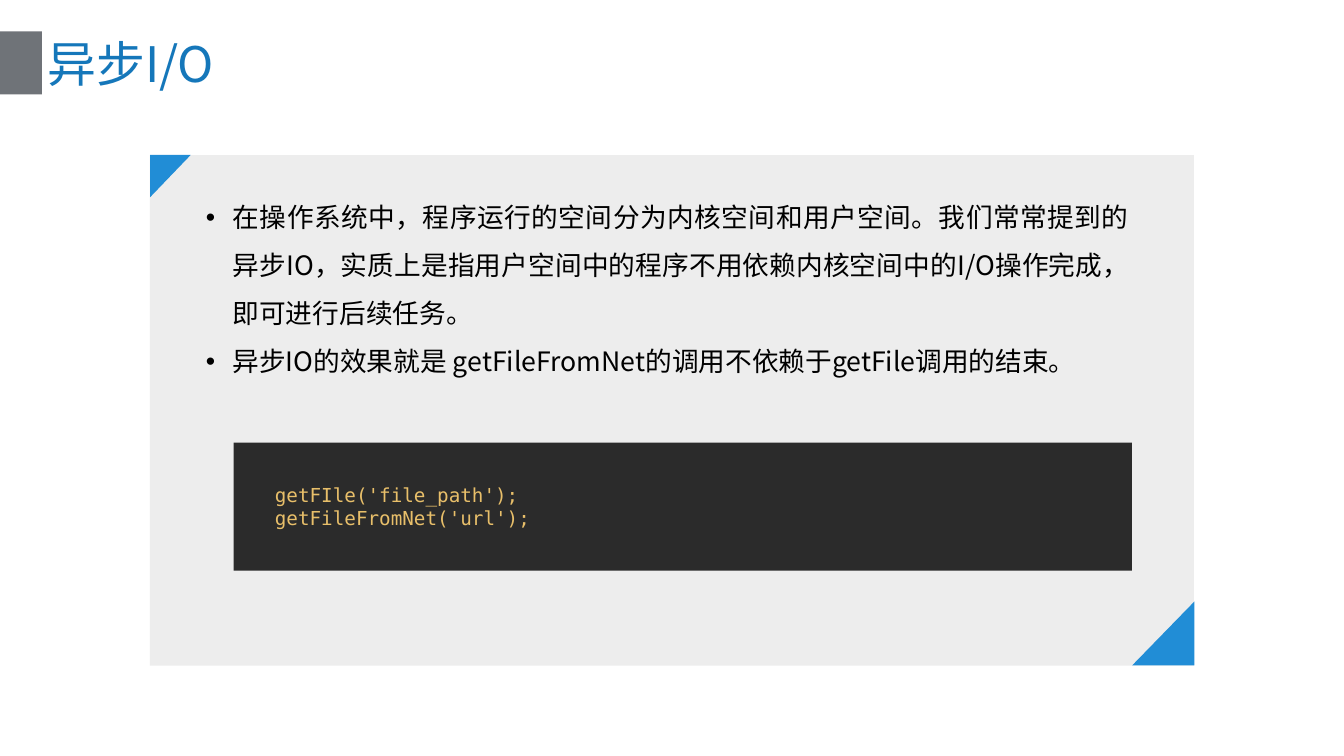
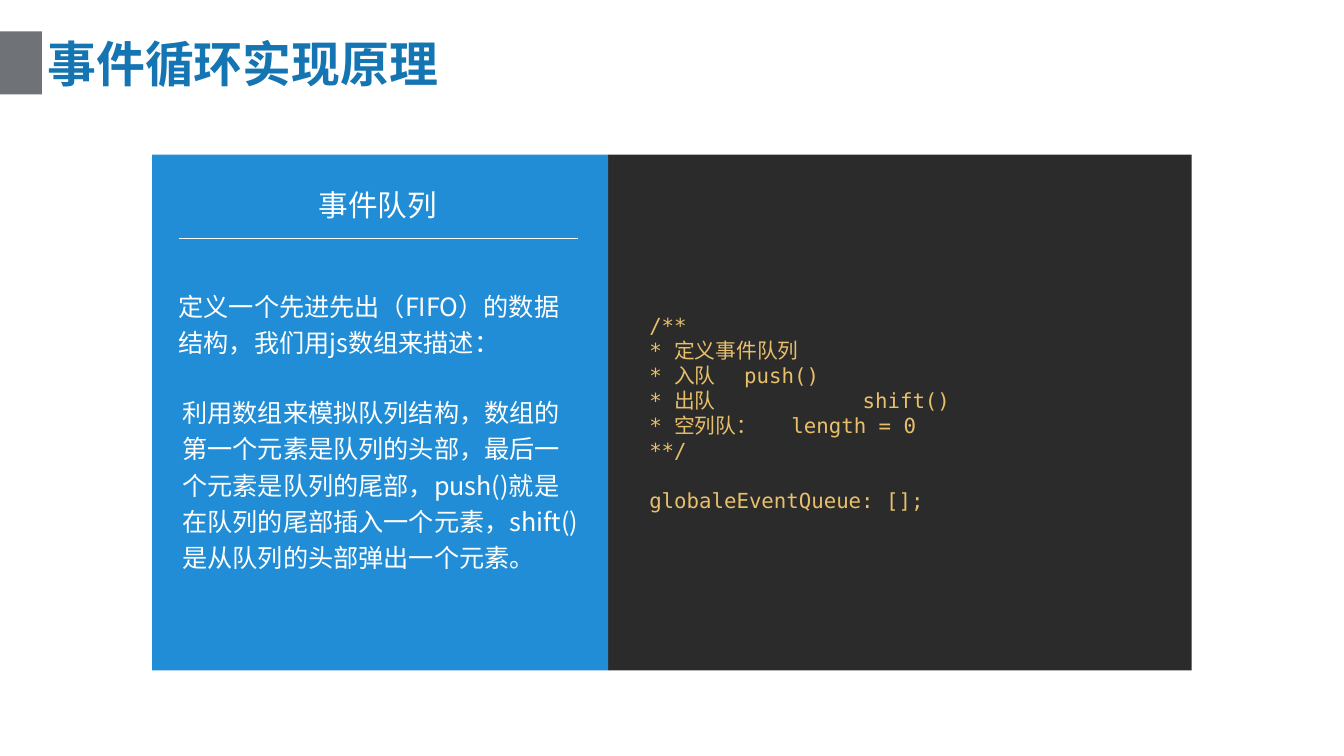
from dataclasses import dataclass

from lxml import etree
from pptx import Presentation
from pptx.dml.color import RGBColor
from pptx.enum import shapes as sh, text as tx
from pptx.oxml import ns
from pptx.util import Cm, Pt


@dataclass(frozen=True)
class Theme:
    """Colours, fonts and type sizes of the deck."""
    blue: str = "218DD6"
    title: str = "1577BA"
    strong: str = "1475B2"
    band: str = "6F7378"
    pale: str = "EDEDED"
    dark: str = "2B2B2B"
    code: str = "E8BF6A"
    black: str = "000000"
    white: str = "FFFFFF"
    sans: str = "Noto Sans CJK SC"
    mono: str = "DejaVu Sans Mono"
    head: int = 66
    topic: int = 40
    body: int = 36
    note: int = 34
    large: int = 28
    small: int = 26


T = Theme()
KIND = sh.MSO_SHAPE
ALIGN = tx.PP_ALIGN
MID = tx.MSO_ANCHOR.MIDDLE
TOP = tx.MSO_ANCHOR.TOP


def rgb(hue):
    """Turn a hex string into a colour."""
    return RGBColor.from_string(hue)


def child(node, tag, **attrs):
    """Append a drawing element to a node."""
    return etree.SubElement(node, ns.qn(tag), attrs)


def block(slide, box, hue, kind=KIND.RECTANGLE, turn=0):
    """Draw a plain filled shape in the box."""
    item = slide.shapes.add_shape(kind, *map(Cm, box))
    item.shadow.inherit = False
    item.fill.solid()
    item.fill.fore_color.rgb = rgb(hue)
    item.line.fill.background()
    item.rotation = turn
    return item


def corner(slide, box, turn):
    """Draw a blue corner triangle."""
    block(slide, box, T.blue, KIND.ISOSCELES_TRIANGLE, turn).adjustments[0] = 0


def write(para, words, size, hue, face=T.sans, bold=False):
    """Add one run with its font to a paragraph."""
    run = para.add_run()
    run.text = words
    font = run.font
    font.size, font.bold, font.name = Pt(size), bold, face
    font.color.rgb = rgb(hue)
    child(font._element, "a:ea", typeface=T.sans)


def frame(item, pad, anchor=MID):
    """Set wrapping, anchor and insets of a text frame."""
    area = item.text_frame
    area.word_wrap = True
    area.vertical_anchor = anchor
    (area.margin_left, area.margin_top,
     area.margin_right, area.margin_bottom) = map(Cm, pad)
    return area


def paras(area, count):
    """Return the given number of paragraphs of a frame."""
    return [area.paragraphs[0]] + [area.add_paragraph() for _ in range(count - 1)]


def label(slide, box, lines, size, hue, align=ALIGN.LEFT, gap=None,
          pad=0.18, anchor=MID, dots=False):
    """Place a growing text box with one paragraph per line."""
    area = frame(slide.shapes.add_textbox(*map(Cm, box)), [pad] * 4, anchor)
    area.auto_size = tx.MSO_AUTO_SIZE.SHAPE_TO_FIT_TEXT
    for para, words in zip(paras(area, len(lines)), lines):
        para.alignment = align
        if gap:
            para.line_spacing = gap
        if dots:
            props = para._p.get_or_add_pPr()
            props.set("marL", str(Cm(1.27)))
            props.set("indent", str(-Cm(1.27)))
            child(props, "a:buFont", typeface="Arial")
            child(props, "a:buChar", char="•")
        write(para, words, size, hue)


def listing(slide, box, rows, size):
    """Place a dark code block; a row is text, tab stop and space above."""
    area = frame(block(slide, box, T.dark), (1.96, 0.13, 0.25, 0.13))
    for para, (words, stop, above) in zip(paras(area, len(rows)), rows):
        para.alignment = ALIGN.LEFT
        para.space_before = Cm(above)
        if stop:
            tabs = child(para._p.get_or_add_pPr(), "a:tabLst")
            child(tabs, "a:tab", pos=str(Cm(stop)), algn="l")
        write(para, words, size, T.code, T.mono)


def start(deck, words, hue, bold=False):
    """Add a slide with the grey band and its title."""
    slide = deck.slides.add_slide(deck.slide_layouts[6])
    block(slide, (0, 1.5, 2, 3), T.band)
    area = frame(slide.shapes.add_textbox(*map(Cm, (2, 1.45, 60, 3.05))),
                 (0.25, 0.13, 0.25, 0.13))
    write(area.paragraphs[0], words, T.head, hue, bold=bold)
    return slide


def card(slide, box, points, rows):
    """Place a pale card with bullets, code and two corners."""
    x, y, w, h = box
    block(slide, box, T.pale)
    label(slide, (x + 2.54, y + 1.3, 44.22, 9.5), points, T.body, T.black,
          ALIGN.JUSTIFY, 1.5, 0.13, TOP, True)
    listing(slide, (x + 3.99, y + 13.69, 42.77, 6.1), rows, T.small)
    corner(slide, (x - 0.03, y + 0.03, 2.01, 1.93), 90)
    corner(slide, (x + w - 2.98, y + h - 3.02, 3.05, 2.97), 270)


def topic(slide, box, name, notes):
    """Place a blue panel with a ruled heading and notes."""
    x, y, w, h = box
    block(slide, box, T.blue)
    label(slide, (x + 1.65, y + 1.34, 18.21, 2.08), [name], T.topic, T.white,
          ALIGN.CENTER)
    rule = slide.shapes.add_connector(
        sh.MSO_CONNECTOR.STRAIGHT,
        *map(Cm, (x + 1.27, y + 3.96, x + 20.27, y + 3.96)))
    rule.line.color.rgb = rgb(T.white)
    rule.line.width = Pt(1)
    child(rule._element.spPr, "a:effectLst")
    for words, dx, dy, tall in notes:
        label(slide, (x + dx, y + dy, 19.33, tall), [words], T.note, T.white,
              gap=1.2)


def main():
    """Build and save the deck."""
    deck = Presentation()
    deck.slide_width, deck.slide_height = Cm(64), Cm(36)

    slide = start(deck, "异步I/O", T.title)
    card(slide, (7.14, 7.39, 49.71, 24.31), [
        "在操作系统中，程序运行的空间分为内核空间和用户空间。我们常常提到的"
        "异步IO，实质上是指用户空间中的程序不用依赖内核空间中的I/O操作完成，"
        "即可进行后续任务。",
        "异步IO的效果就是 getFileFromNet的调用不依赖于getFile调用的结束。",
    ], [("getFIle('file_path');", 0, 0), ("getFileFromNet('url');", 0, 0)])

    slide = start(deck, "事件循环实现原理", T.strong, True)
    listing(slide, (28.96, 7.37, 27.79, 24.56), [
        ("/**", 0, 0),
        ("* 定义事件队列", 0, 0),
        ("* 入队\tpush()", 4.52, 0),
        ("* 出队\tshift()", 10.16, 0),
        ("* 空列队：\tlength = 0", 6.77, 0),
        ("**/", 0, 0),
        ("globaleEventQueue: [];", 0, 1.18),
    ], T.large)
    topic(slide, (7.24, 7.37, 21.72, 24.56), "事件队列", [
        ("定义一个先进先出（FIFO）的数据结构，我们用js数组来描述：",
         1.09, 6.07, 3.73),
        ("利用数组来模拟队列结构，数组的第一个元素是队列的头部，最后一个元素"
         "是队列的尾部，push()就是在队列的尾部插入一个元素，shift()是从队列的"
         "头部弹出一个元素。", 1.27, 11.1, 8.97),
    ])
    deck.save("out.pptx")


main()
